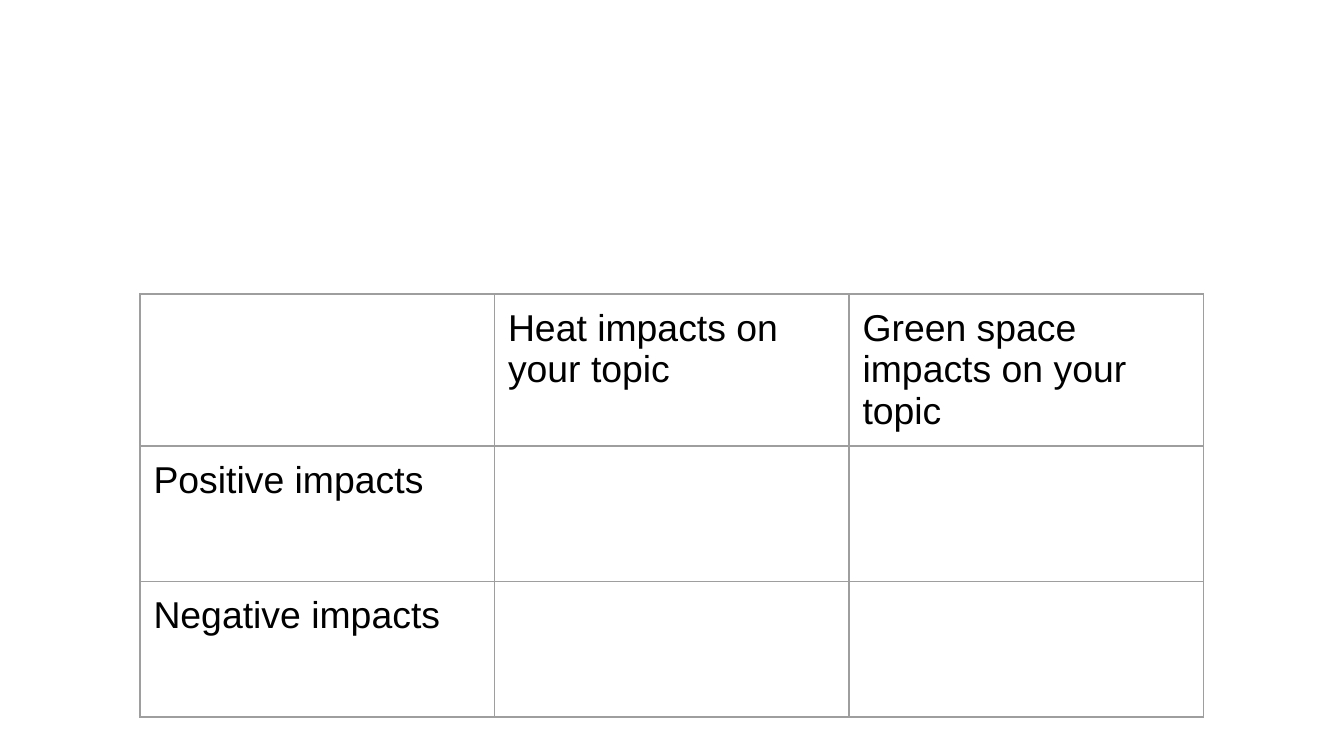
import dataclasses

import lxml.etree
import pptx
import pptx.dml.color
import pptx.oxml.ns
import pptx.slide
import pptx.table
import pptx.util

SLIDE_WIDTH = pptx.util.Inches(10)
SLIDE_HEIGHT = SLIDE_WIDTH * 9 // 16
BORDER_WIDTH = pptx.util.Pt(0.75)
CELL_MARGIN = pptx.util.Inches(0.1)
INK = "000000"
BORDER = "9E9E9E"


@dataclasses.dataclass(frozen=True)
class Grid:
    """Place a table and its cells in percent of the slide's size."""

    left: float
    top: float
    column: float
    row: float


IMPACT_GRID = Grid(left=10.42, top=38.9, column=26.38, row=17.93)
IMPACT_ROWS = [
    ["", "Heat impacts on your topic", "Green space impacts on your topic"],
    ["Positive impacts", "", ""],
    ["Negative impacts", "", ""],
]


def color(value: str) -> pptx.dml.color.RGBColor:
    """Turn a hex string into a colour."""
    return pptx.dml.color.RGBColor.from_string(value)


def across(percent: float) -> int:
    """Turn a percentage of the slide's width into a length."""
    return round(SLIDE_WIDTH * percent / 100)


def down(percent: float) -> int:
    """Turn a percentage of the slide's height into a length."""
    return round(SLIDE_HEIGHT * percent / 100)


def draw_borders(cell: pptx.table._Cell) -> None:
    """Draw a thin line on all four sides of a cell."""
    properties = cell._tc.get_or_add_tcPr()
    qn = pptx.oxml.ns.qn
    for index, side in enumerate(("a:lnL", "a:lnR", "a:lnT", "a:lnB")):
        line = lxml.etree.Element(qn(side), w=str(int(BORDER_WIDTH)))
        fill = lxml.etree.SubElement(line, qn("a:solidFill"))
        lxml.etree.SubElement(fill, qn("a:srgbClr"), val=BORDER)
        properties.insert(index, line)


def write_cell(cell: pptx.table._Cell, text: str) -> None:
    """Fill one cell with its text, margins and borders."""
    cell.margin_left = cell.margin_right = CELL_MARGIN
    cell.margin_top = cell.margin_bottom = CELL_MARGIN
    cell.fill.background()
    draw_borders(cell)
    if text:
        cell.text = text
        font = cell.text_frame.paragraphs[0].font
        font.name = "Arial"
        font.size = pptx.util.Pt(20)
        font.color.rgb = color(INK)


def draw_table(page: pptx.slide.Slide, grid: Grid, rows: list[list[str]]) -> None:
    """Add a plain table of equal columns and rows."""
    column_count = len(rows[0])
    table = page.shapes.add_table(
        len(rows),
        column_count,
        across(grid.left),
        down(grid.top),
        across(column_count * grid.column),
        down(len(rows) * grid.row),
    ).table
    table.first_row = False
    table.horz_banding = False
    for row_index, texts in enumerate(rows):
        for column_index, text in enumerate(texts):
            write_cell(table.cell(row_index, column_index), text)


def main() -> None:
    """Build the slide with the impact table."""
    deck = pptx.Presentation()
    deck.slide_width = SLIDE_WIDTH
    deck.slide_height = SLIDE_HEIGHT
    page = deck.slides.add_slide(deck.slide_layouts[6])
    draw_table(page, IMPACT_GRID, IMPACT_ROWS)
    deck.save("out.pptx")


if __name__ == "__main__":
    main()
